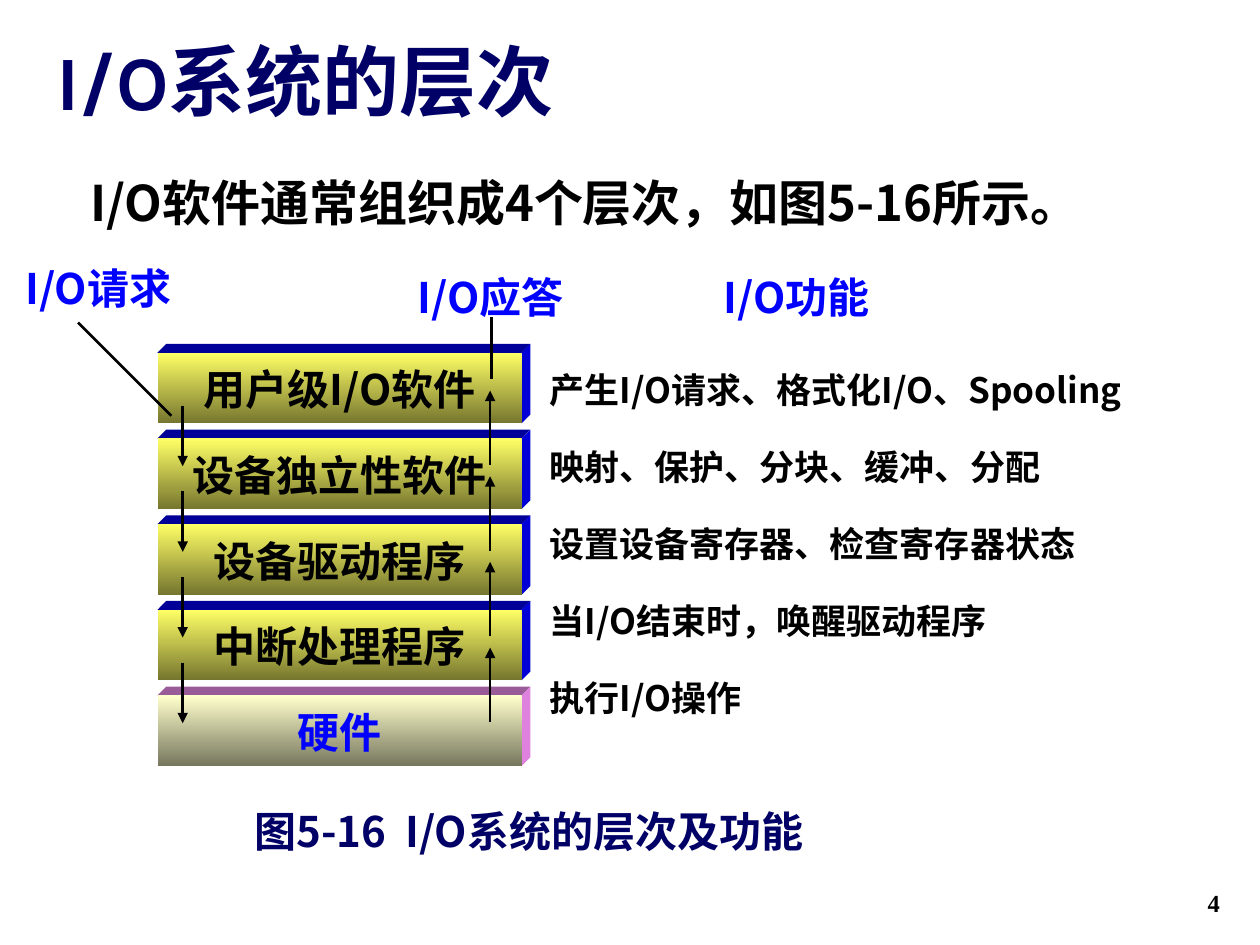
from dataclasses import dataclass

from lxml import etree
from pptx import Presentation
from pptx import util as u
from pptx.dml.color import RGBColor
from pptx.enum import shapes, text
from pptx.oxml import ns

CJK = "Noto Sans CJK SC"
BLACK, NAVY, BLUE = "000000", "000066", "0000FF"
LEFT, CENTER, RIGHT = text.PP_ALIGN.LEFT, text.PP_ALIGN.CENTER, text.PP_ALIGN.RIGHT
TOP, MIDDLE, BOTTOM = (text.MSO_ANCHOR.TOP, text.MSO_ANCHOR.MIDDLE,
                       text.MSO_ANCHOR.BOTTOM)

# Layer stack geometry, in inches
STACK_LEFT, STACK_TOP, PITCH = 1.25, 2.8, 0.68
BAR_WIDTH, BAR_HEIGHT, DEPTH = 2.89, 0.56, 0.07


@dataclass
class Palette:
    light: str
    dark: str
    top: str
    side: str
    label: str


@dataclass
class Layer:
    label: str
    palette: Palette


@dataclass
class Label:
    lines: list[str]
    box: tuple[float, float, float, float]
    size: float
    color: str
    align: text.PP_ALIGN = LEFT
    anchor: text.MSO_ANCHOR = TOP
    insets: tuple[float, float] = (0.1, 0.05)
    font: str = CJK
    gap: float = 0


@dataclass
class Line:
    start: tuple[float, float]
    end: tuple[float, float]
    arrow: bool = False


SOFTWARE = Palette("FFFF66", "76762F", "000099", "0000D6", BLACK)
HARDWARE = Palette("FFFFCC", "76765E", "995C99", "DE82DE", BLUE)

LAYERS = [
    Layer("用户级I/O软件", SOFTWARE),
    Layer("设备独立性软件", SOFTWARE),
    Layer("设备驱动程序", SOFTWARE),
    Layer("中断处理程序", SOFTWARE),
    Layer("硬件", HARDWARE),
]

FUNCTIONS = [
    "产生I/O请求、格式化I/O、Spooling",
    "映射、保护、分块、缓冲、分配",
    "设置设备寄存器、检查寄存器状态",
    "当I/O结束时，唤醒驱动程序",
    "执行I/O操作",
]

LABELS = [
    Label(["4"], (7.7, 6.83, 2.08, 0.5), 14, BLACK, RIGHT, BOTTOM,
          font="Times New Roman"),
    Label(["I/O系统的层次"], (0.35, 0.29, 9.43, 0.76), 44, NAVY,
          anchor=BOTTOM, font="Karla"),
    Label(["I/O软件通常组织成4个层次，如图5-16所示。"],
          (0.62, 1.3, 8.93, 0.57), 28, BLACK),
    Label(["I/O请求"], (0.2, 2.02, 1.53, 0.5), 24, BLUE, insets=(0, 0.05)),
    Label(["I/O应答"], (3.13, 2.09, 1.53, 0.5), 24, BLUE, CENTER, insets=(0, 0.05)),
    Label(["I/O功能"], (5.56, 2.09, 1.53, 0.5), 24, BLUE, CENTER, insets=(0, 0.05)),
    Label(FUNCTIONS, (4.34, 2.9, 4.75, 3.05), 20, BLACK, insets=(0.02, 0.01), gap=19),
    Label(["图5-16  I/O系统的层次及功能"], (1.92, 6.33, 5.86, 0.5), 24, NAVY),
]


def rgb(value: str) -> RGBColor:
    return RGBColor.from_string(value)


def write(shape, label: Label) -> None:
    """Put the label's lines into a shape with its formatting."""
    side, edge = (u.Inches(inset) for inset in label.insets)
    frame = shape.text_frame
    frame_format = {
        "word_wrap": True, "vertical_anchor": label.anchor,
        "margin_left": side, "margin_right": side,
        "margin_top": edge, "margin_bottom": edge,
    }
    for name, value in frame_format.items():
        setattr(frame, name, value)
    for index, line in enumerate(label.lines):
        paragraph = frame.add_paragraph() if index else frame.paragraphs[0]
        paragraph_format = {
            "alignment": label.align,
            "line_spacing": u.Pt(label.size * 1.25),
            "space_before": u.Pt(label.gap if index else 0),
        }
        for name, value in paragraph_format.items():
            setattr(paragraph, name, value)
        run = paragraph.add_run()
        run.text = line
        font_format = {"name": label.font, "size": u.Pt(label.size), "bold": True}
        for name, value in font_format.items():
            setattr(run.font, name, value)
        run.font.color.rgb = rgb(label.color)
        east_asian = etree.SubElement(run._r.get_or_add_rPr(), ns.qn("a:ea"))
        east_asian.set("typeface", CJK)


def draw_label(slide, label: Label) -> None:
    write(slide.shapes.add_textbox(*map(u.Inches, label.box)), label)


def draw_face(slide, points: list[tuple[float, float]], color: str) -> None:
    """Draw one flat side of an extruded bar."""
    corners = [(u.Inches(x), u.Inches(y)) for x, y in points]
    builder = slide.shapes.build_freeform(*corners[0])
    builder.add_line_segments(corners[1:], close=True)
    face = builder.convert_to_shape()
    face.shadow.inherit = False
    face.fill.solid()
    face.fill.fore_color.rgb = rgb(color)
    face.line.fill.background()


def draw_layer(slide, layer: Layer, top: float) -> None:
    palette = layer.palette
    left, right, bottom = STACK_LEFT, STACK_LEFT + BAR_WIDTH, top + BAR_HEIGHT
    back_right, back_top = right + DEPTH, top - DEPTH
    draw_face(slide, [(left, top), (left + DEPTH, back_top),
                      (back_right, back_top), (right, top)], palette.top)
    draw_face(slide, [(right, top), (back_right, back_top),
                      (back_right, bottom - DEPTH), (right, bottom)], palette.side)
    bar = slide.shapes.add_shape(
        shapes.MSO_SHAPE.RECTANGLE,
        *map(u.Inches, (left, top, BAR_WIDTH, BAR_HEIGHT)))
    bar.shadow.inherit = False
    bar.line.fill.background()
    bar.fill.gradient()
    bar.fill.gradient_angle = 270
    for stop, position, color in zip(bar.fill.gradient_stops, (0, 1),
                                     (palette.light, palette.dark)):
        stop.position = position
        stop.color.rgb = rgb(color)
    write(bar, Label([layer.label], (), 24, palette.label, CENTER, MIDDLE, (0.06, 0.03)))


def draw_line(slide, line: Line) -> None:
    connector = slide.shapes.add_connector(
        shapes.MSO_CONNECTOR.STRAIGHT, *map(u.Inches, line.start + line.end))
    connector.line.width = u.Pt(1.5)
    connector.line.color.rgb = rgb(BLACK)
    if line.arrow:
        tail = etree.SubElement(connector.line._get_or_add_ln(), ns.qn("a:tailEnd"))
        tail.set("type", "triangle")
    etree.SubElement(connector._element.spPr, ns.qn("a:effectLst"))


def main() -> None:
    deck = Presentation()
    deck.slide_width, deck.slide_height = u.Inches(10), u.Inches(7.5)
    slide = deck.slides.add_slide(deck.slide_layouts[6])

    # Layer stack
    for index, layer in enumerate(LAYERS):
        draw_layer(slide, layer, STACK_TOP + index * PITCH)

    # Request enters at the top left, reply leaves at the top right
    lines = [Line((0.62, 2.56), (1.36, 3.3)), Line((3.9, 2.52), (3.9, 3.01))]
    for index in range(len(LAYERS) - 1):
        offset = index * PITCH
        lines.append(Line((1.45, 3.22 + offset), (1.45, 3.7 + offset), True))
        lines.append(Line((3.89, 3.69 + offset), (3.89, 3.1 + offset), True))
    for line in lines:
        draw_line(slide, line)

    # Title, headings, functions and caption
    for label in LABELS:
        draw_label(slide, label)

    deck.save("out.pptx")


if __name__ == "__main__":
    main()
